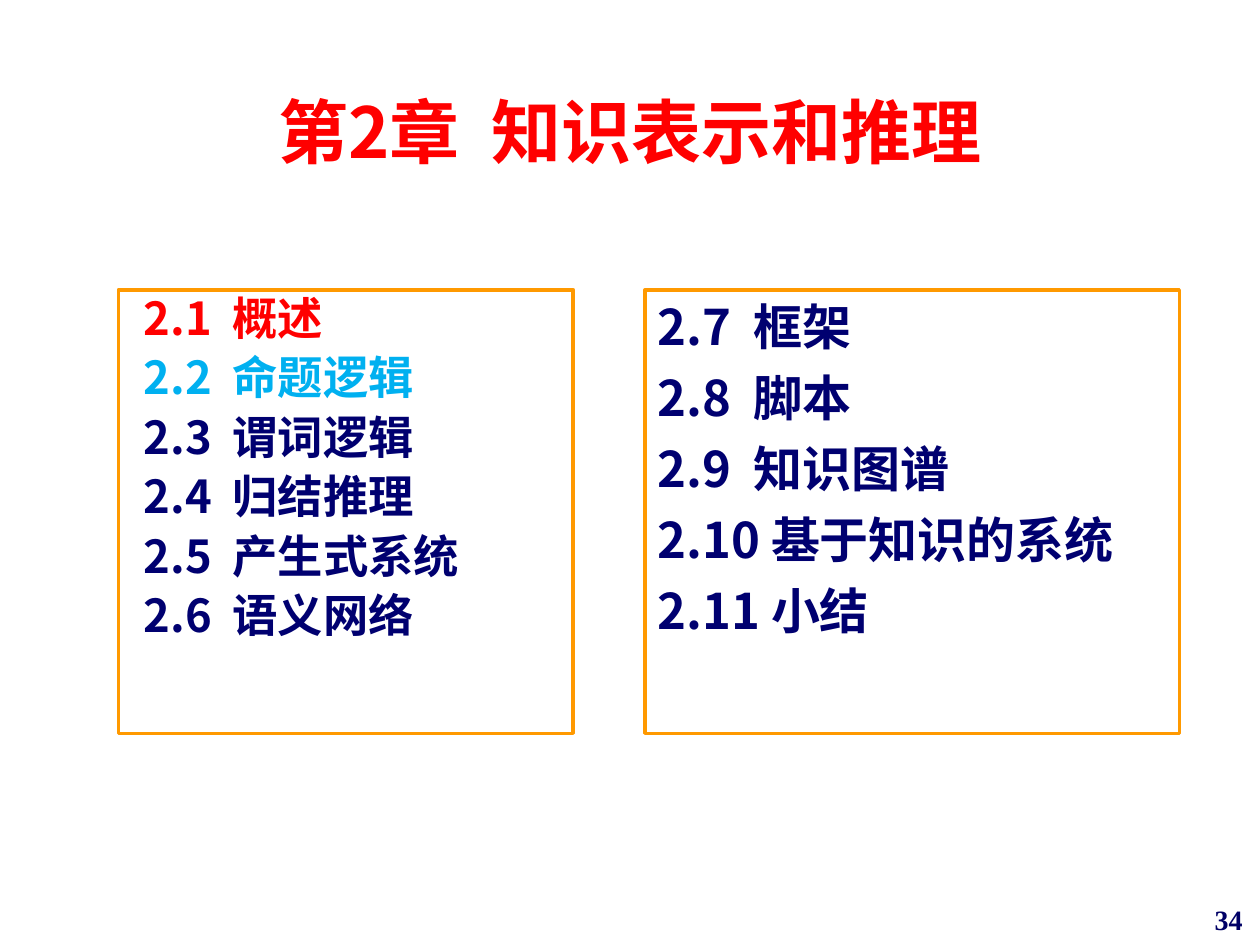
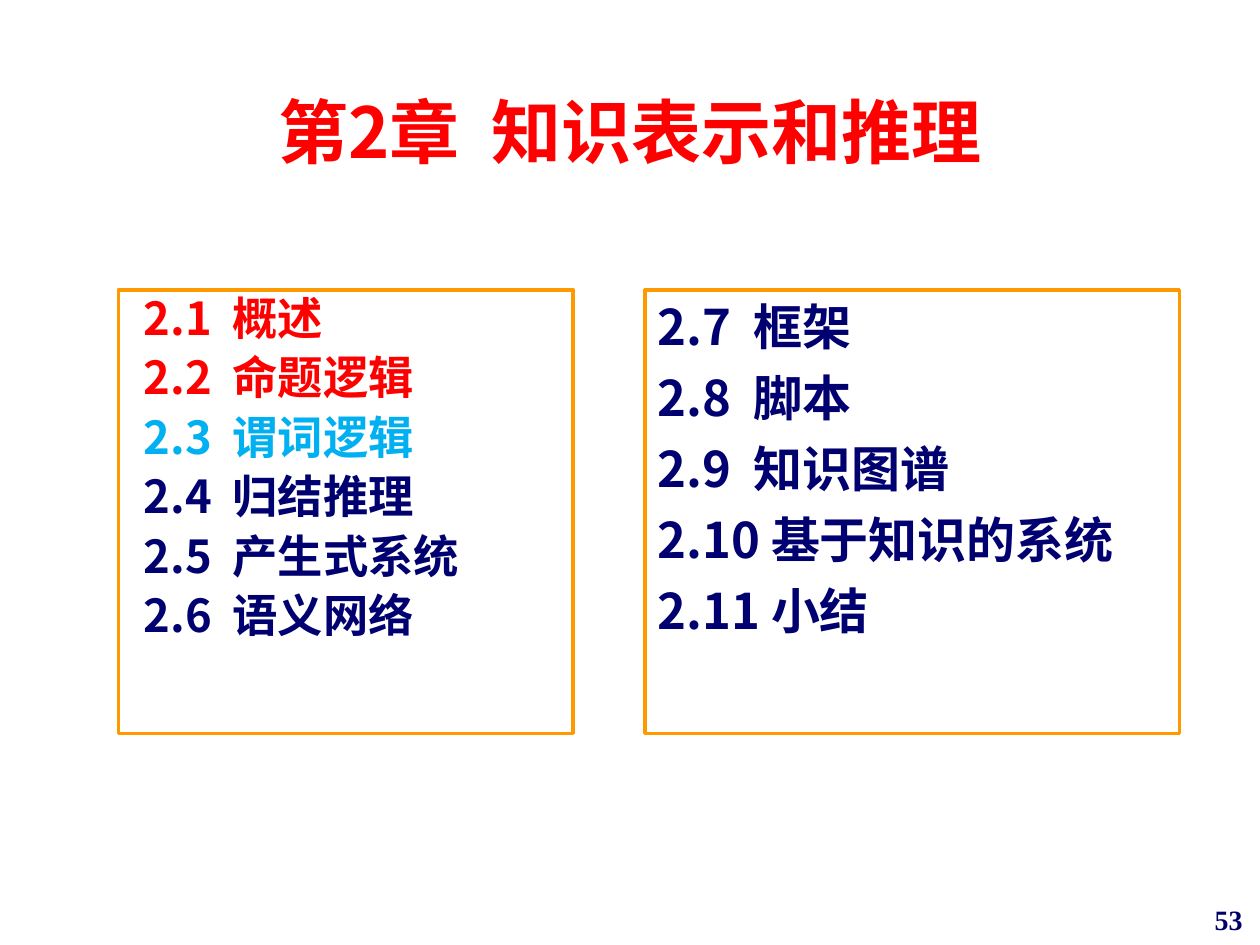
from pptx import Presentation
from pptx.dml.color import RGBColor
from pptx.enum.shapes import MSO_SHAPE
from pptx.enum.text import MSO_ANCHOR, PP_ALIGN
from pptx.oxml.ns import qn
from pptx.util import Inches, Pt
from lxml import etree

RECTANGLE = MSO_SHAPE.RECTANGLE
TOP, MIDDLE = MSO_ANCHOR.TOP, MSO_ANCHOR.MIDDLE
LEFT, CENTER, RIGHT = PP_ALIGN.LEFT, PP_ALIGN.CENTER, PP_ALIGN.RIGHT

COLORS = {
    "done": "FF0000",
    "current": "00B0F0",
    "upcoming": "000070",
    "title": "FF0000",
    "number": "000066",
    "border": "FF9900",
    "paper": "FFFFFF",
}
HEADING_FONT = "Noto Sans CJK SC"
NUMBER_FONT = "Times New Roman"
COLUMNS, ROWS = 20, 15

CHAPTER = "第2章  知识表示和推理"
FIRST_SECTIONS = [
    "2.1  概述",
    "2.2  命题逻辑",
    "2.3  谓词逻辑",
    "2.4  归结推理",
    "2.5  产生式系统",
    "2.6  语义网络",
]
LAST_SECTIONS = [
    "2.7  框架",
    "2.8  脚本",
    "2.9  知识图谱",
    "2.10 基于知识的系统",
    "2.11 小结",
]
OUTLINES = [(34, 1), (53, 2)]


class Deck:
    def __init__(self):
        self.presentation = Presentation()
        self.presentation.slide_width = Inches(10)
        self.presentation.slide_height = Inches(7.5)
        self.slide = None

    def add_slide(self):
        layout = self.presentation.slide_layouts[6]
        self.slide = self.presentation.slides.add_slide(layout)

    def area(self, column, row, columns, rows):
        cell_width = self.presentation.slide_width / COLUMNS
        cell_height = self.presentation.slide_height / ROWS
        return (round(column * cell_width), round(row * cell_height),
                round(columns * cell_width), round(rows * cell_height))

    def set_text(self, shape, lines, size, colors, font_name=HEADING_FONT,
                 alignment=LEFT, anchor=TOP, space_before=0, line_spacing=1.0):
        frame = shape.text_frame
        frame.word_wrap = True
        frame.vertical_anchor = anchor
        frame.text = "\n".join(lines)
        for index, (paragraph, color) in enumerate(zip(frame.paragraphs, colors)):
            paragraph.alignment = alignment
            paragraph.line_spacing = line_spacing
            paragraph.space_before = Pt(space_before if index else 0)
            font = paragraph.font
            font.size = Pt(size)
            font.bold = True
            font.color.rgb = RGBColor.from_string(COLORS[color])
            font.name = font_name
            properties = paragraph._p.pPr.find(qn("a:defRPr"))
            etree.SubElement(properties, qn("a:ea"), typeface=font_name)

    def title(self, text):
        shape = self.slide.shapes.add_textbox(*self.area(1.5, 0.82, 17, 2.5))
        self.set_text(shape, [text], 40, ["title"], alignment=CENTER, anchor=MIDDLE)

    def page_number(self, number):
        shape = self.slide.shapes.add_textbox(*self.area(15.76, 14.22, 4.16, 0.78))
        self.set_text(shape, [str(number)], 16, ["number"], NUMBER_FONT, RIGHT)

    def section_box(self, column, columns, sections, colors, size,
                    margin=0.1, **spacing):
        shape = self.slide.shapes.add_shape(
            RECTANGLE, *self.area(column, 4.6, columns, 7.04))
        shape.shadow.inherit = False
        shape.fill.solid()
        shape.fill.fore_color.rgb = RGBColor.from_string(COLORS["paper"])
        shape.line.color.rgb = RGBColor.from_string(COLORS["border"])
        shape.line.width = Pt(2)
        shape.text_frame.margin_left = Inches(margin)
        self.set_text(shape, sections, size, colors, **spacing)

    def outline(self, number, current):
        self.add_slide()
        self.page_number(number)
        self.title(CHAPTER)
        upcoming = len(FIRST_SECTIONS) - current - 1
        progress = ["done"] * current + ["current"] + ["upcoming"] * upcoming
        self.section_box(1.88, 7.22, FIRST_SECTIONS, progress, 25.9,
                         margin=0.2, space_before=6, line_spacing=0.9)
        self.section_box(10.24, 8.48, LAST_SECTIONS,
                         ["upcoming"] * len(LAST_SECTIONS), 28, space_before=7)


def main():
    deck = Deck()
    for number, current in OUTLINES:
        deck.outline(number, current)
    deck.presentation.save("out.pptx")


if __name__ == "__main__":
    main()
